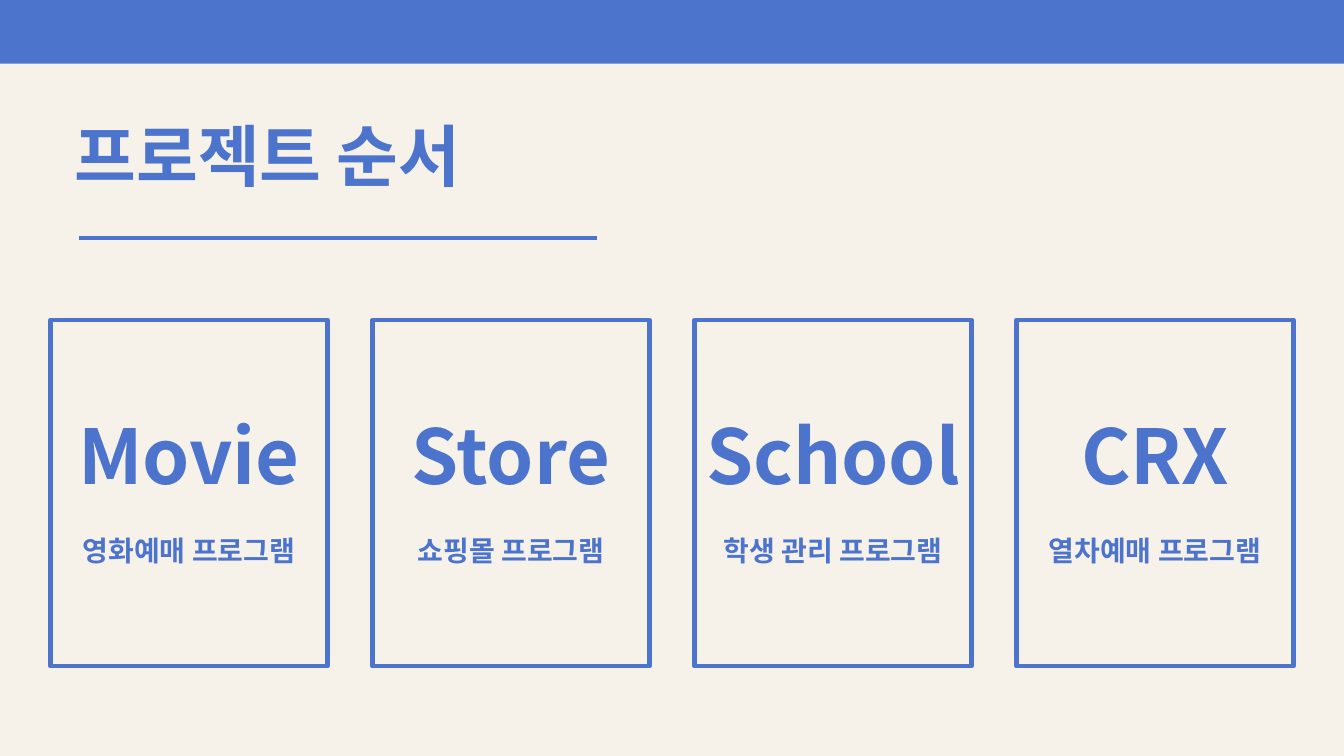
"""Builds the project order slide with four program cards."""
from dataclasses import dataclass

from pptx import Presentation
from pptx.dml.color import RGBColor
from pptx.enum.shapes import MSO_CONNECTOR, MSO_SHAPE
from pptx.enum.text import MSO_ANCHOR, MSO_AUTO_SIZE, PP_ALIGN
from pptx.oxml.ns import qn
from pptx.slide import Slide
from pptx.util import Pt
from lxml.etree import SubElement


@dataclass(frozen=True)
class Theme:
    blue: RGBColor = RGBColor(0x4C, 0x74, 0xCC)
    cream: RGBColor = RGBColor(0xF6, 0xF2, 0xE9)
    font: str = "Noto Sans CJK KR"
    title_size: float = 48
    name_size: float = 54
    summary_size: float = 20
    line_spacing: float = 0.9
    stroke: float = 3


@dataclass(frozen=True)
class Project:
    name: str
    summary: str


THEME = Theme()
PROJECTS = (
    Project("Movie", "영화예매 프로그램"),
    Project("Store", "쇼핑몰 프로그램"),
    Project("School", "학생 관리 프로그램"),
    Project("CRX", "열차예매 프로그램"),
)
SLIDE_WIDTH, SLIDE_HEIGHT = 960, 540
CARD_LEFT, CARD_TOP, CARD_WIDTH, CARD_HEIGHT = 36, 228.5, 198, 247.5
CARD_PITCH = (SLIDE_WIDTH - 2 * CARD_LEFT - CARD_WIDTH) / (len(PROJECTS) - 1)
SUMMARY_GAP = 26


def style_paragraph(paragraph, size: float, align: PP_ALIGN) -> None:
    paragraph.alignment = align
    paragraph.line_spacing = THEME.line_spacing
    font = paragraph.font
    font.name = THEME.font
    font.size = Pt(size)
    font.bold = True
    font.color.rgb = THEME.blue
    defaults = paragraph._p.pPr.find(qn("a:defRPr"))
    SubElement(defaults, qn("a:ea")).set("typeface", THEME.font)


def add_title(slide: Slide, wording: str) -> None:
    title = slide.shapes.title
    title.left, title.top, title.width, title.height = Pt(46), Pt(73.5), Pt(460), Pt(155.5)
    frame = title.text_frame
    frame.text = wording
    frame.auto_size = MSO_AUTO_SIZE.NONE
    frame.vertical_anchor = MSO_ANCHOR.TOP
    frame.margin_top = Pt(15)
    style_paragraph(frame.paragraphs[0], THEME.title_size, PP_ALIGN.LEFT)


def add_band(slide: Slide) -> None:
    band = slide.shapes.add_shape(MSO_SHAPE.RECTANGLE, 0, 0, Pt(SLIDE_WIDTH), Pt(45.5))
    band.shadow.inherit = False
    band.fill.solid()
    band.fill.fore_color.rgb = THEME.blue
    band.line.fill.background()


def add_underline(slide: Slide) -> None:
    underline = slide.shapes.add_connector(
        MSO_CONNECTOR.STRAIGHT, Pt(56.5), Pt(170), Pt(426.5), Pt(170)
    )
    underline.line.color.rgb = THEME.blue
    underline.line.width = Pt(THEME.stroke)
    SubElement(underline._element.spPr, qn("a:effectLst"))


def add_card(slide: Slide, project: Project, left: float) -> None:
    card = slide.shapes.add_shape(
        MSO_SHAPE.RECTANGLE, Pt(left), Pt(CARD_TOP), Pt(CARD_WIDTH), Pt(CARD_HEIGHT)
    )
    card.shadow.inherit = False
    card.fill.background()
    card.line.color.rgb = THEME.blue
    card.line.width = Pt(THEME.stroke)
    frame = card.text_frame
    frame.word_wrap = True
    frame.vertical_anchor = MSO_ANCHOR.MIDDLE
    name = frame.paragraphs[0]
    name.text = project.name
    style_paragraph(name, THEME.name_size, PP_ALIGN.CENTER)
    summary = frame.add_paragraph()
    summary.text = project.summary
    summary.space_before = Pt(SUMMARY_GAP)
    style_paragraph(summary, THEME.summary_size, PP_ALIGN.CENTER)


def main() -> None:
    deck = Presentation()
    deck.slide_width, deck.slide_height = Pt(SLIDE_WIDTH), Pt(SLIDE_HEIGHT)
    slide = deck.slides.add_slide(deck.slide_layouts[5])
    slide.background.fill.solid()
    slide.background.fill.fore_color.rgb = THEME.cream
    add_title(slide, "프로젝트 순서")
    add_band(slide)
    add_underline(slide)
    for index, project in enumerate(PROJECTS):
        add_card(slide, project, CARD_LEFT + index * CARD_PITCH)
    deck.save("out.pptx")


if __name__ == "__main__":
    main()
